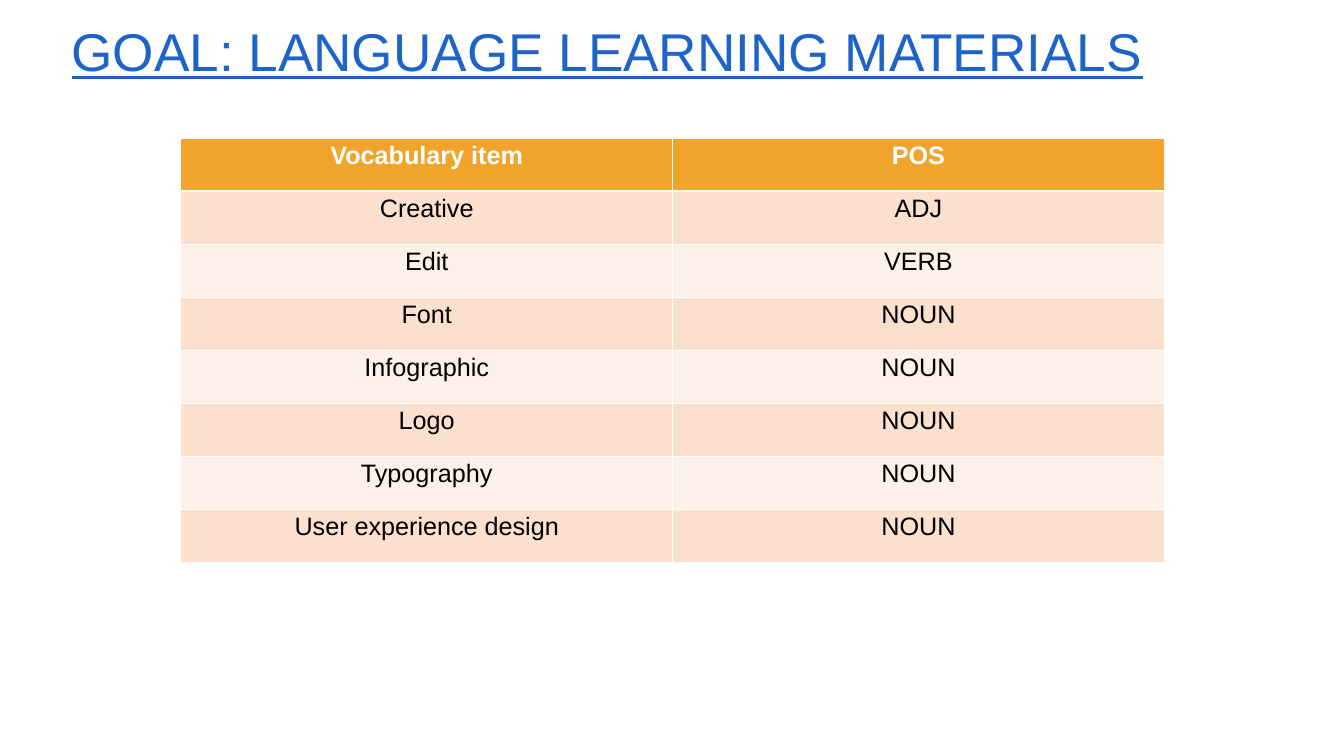
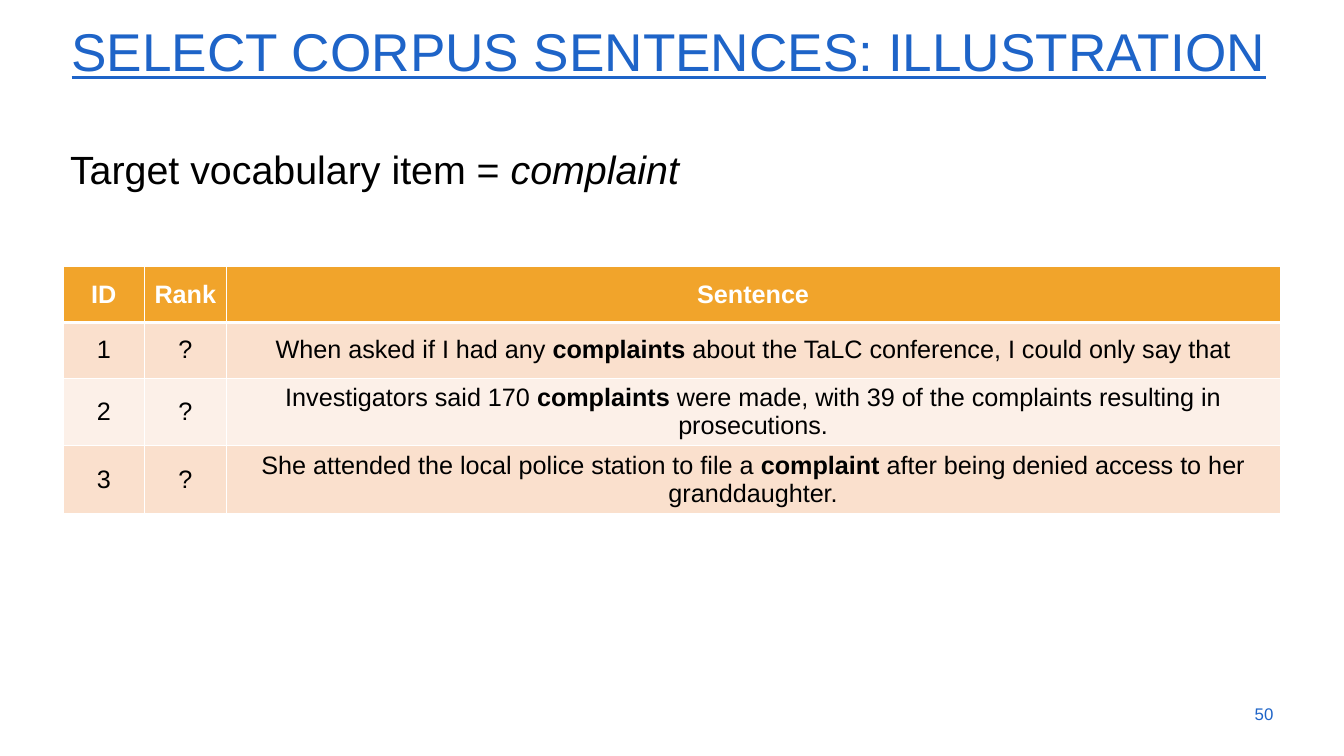
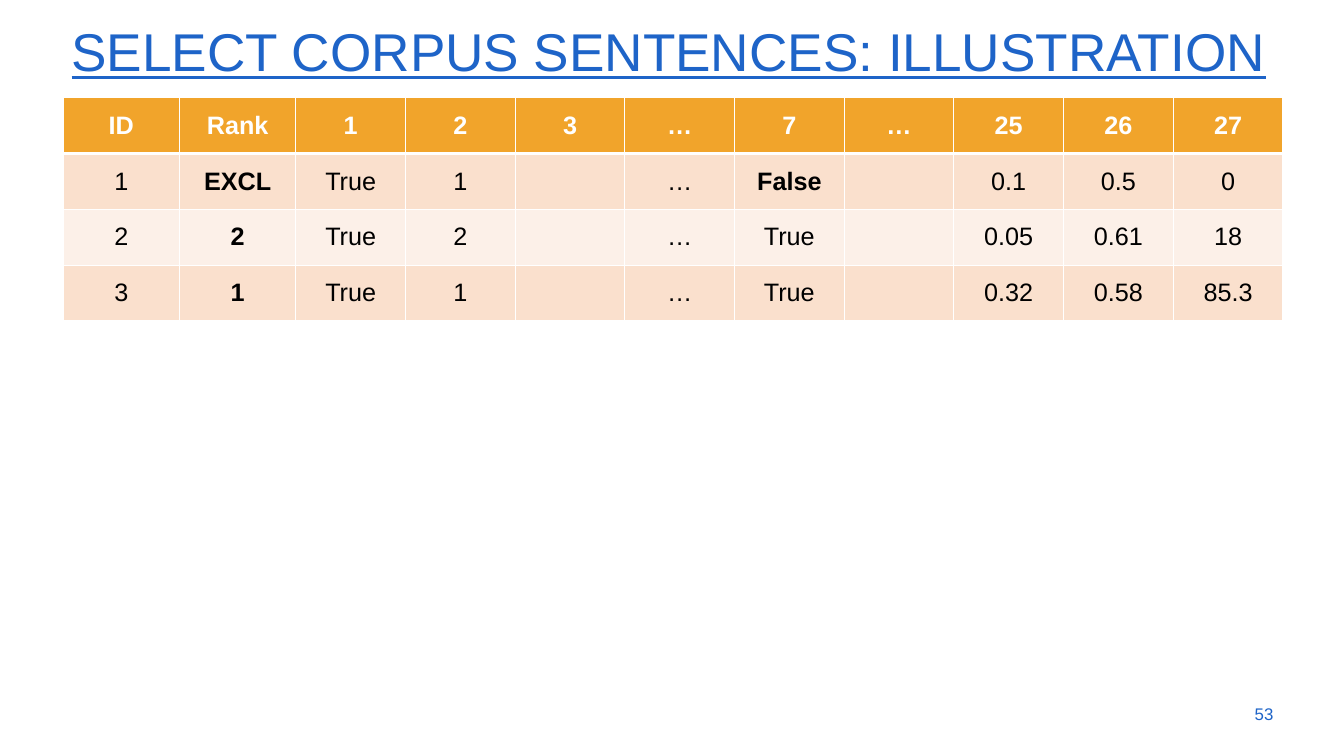
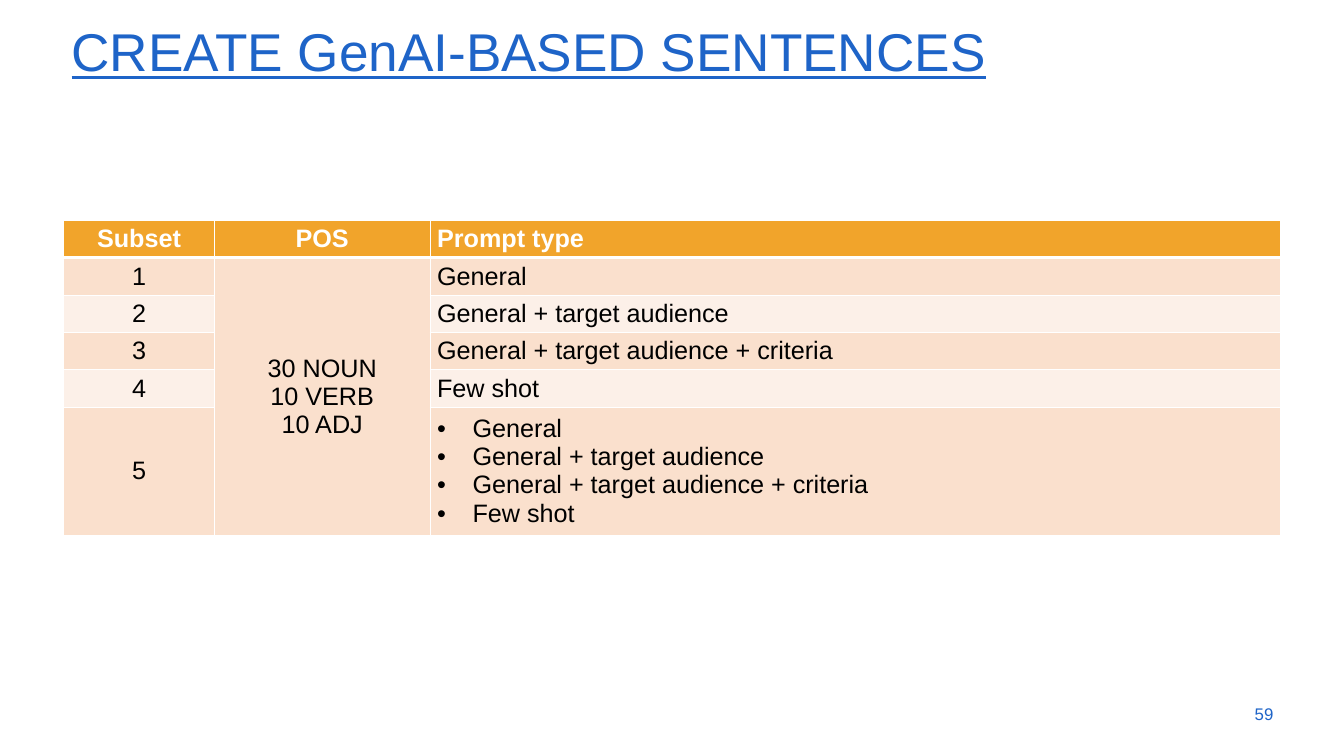
from pptx import Presentation
from pptx.dml.color import RGBColor
from pptx.enum.text import MSO_ANCHOR, PP_ALIGN
from pptx.oxml import parse_xml
from pptx.oxml.ns import nsdecls
from pptx.util import Cm, Pt

BLUE = RGBColor(0x1E, 0x64, 0xC8)
ORANGE = RGBColor(0xF1, 0xA4, 0x2B)
PEACH = RGBColor(0xFA, 0xE0, 0xCD)
CREAM = RGBColor(0xFC, 0xF0, 0xE8)
WHITE = RGBColor(0xFF, 0xFF, 0xFF)
BLACK = RGBColor(0x00, 0x00, 0x00)
FONT = "Arial"
BULLET = "• "
BULLET_INDENT = Cm(1.27)


class Deck:
    """Build slides in the shared style, one element at a time."""

    def __init__(self):
        self.presentation = Presentation()
        self.presentation.slide_width = Cm(48.16)
        self.presentation.slide_height = Cm(27.1)
        self.slide = None

    def add_slide(self, title, number=None):
        """Start a slide with its underlined title and optional page number."""
        layout = self.presentation.slide_layouts[5]
        self.slide = self.presentation.slides.add_slide(layout)
        shape = self.slide.shapes.title
        shape.left, shape.top = Cm(2.31), Cm(0.71)
        shape.width, shape.height = Cm(43.64), Cm(2.39)
        frame = shape.text_frame
        frame.vertical_anchor = MSO_ANCHOR.BOTTOM
        paragraph = frame.paragraphs[0]
        self.set_text(paragraph, title, 54, BLUE)
        paragraph.font.underline = True
        paragraph.line_spacing = 0.9
        if number:
            frame = self.add_text(number, 43.31, 24.87, 2.57, 1.45, 17.1, BLUE)
            frame.vertical_anchor = MSO_ANCHOR.MIDDLE
            frame.paragraphs[0].alignment = PP_ALIGN.RIGHT

    def set_text(self, paragraph, text, size, color, italic=False):
        """Set text in one style, with parts between asterisks emphasised."""
        paragraph.alignment = PP_ALIGN.LEFT
        font = paragraph.font
        font.name, font.size = FONT, Pt(size)
        font.color.rgb = color
        for index, part in enumerate(text.split("*")):
            if part:
                run = paragraph.add_run()
                run.text = part
                if index % 2 and italic:
                    run.font.italic = True
                elif index % 2:
                    run.font.bold = True

    def add_text(self, text, left, top, width, height, size, color):
        """Add a one-paragraph text box and return its text frame."""
        shape = self.slide.shapes.add_textbox(
            Cm(left), Cm(top), Cm(width), Cm(height))
        frame = shape.text_frame
        frame.word_wrap = True
        self.set_text(frame.paragraphs[0], text, size, color, italic=True)
        return frame

    def add_table(self, rows, left, top, widths, heights,
                  anchor=MSO_ANCHOR.MIDDLE, left_columns=()):
        """Add a table with an orange header and banded rows."""
        shape = self.slide.shapes.add_table(
            len(rows), len(widths), Cm(left), Cm(top),
            Cm(sum(widths)), Cm(sum(heights)))
        table = shape.table
        table.horz_banding = False
        for column, width in zip(table.columns, widths):
            column.width = Cm(width)
        for row, height in zip(table.rows, heights):
            row.height = Cm(height)
        for row_index, row in enumerate(rows):
            for column_index, text in enumerate(row):
                alignment = (PP_ALIGN.LEFT if column_index in left_columns
                             else PP_ALIGN.CENTER)
                cell = table.cell(row_index, column_index)
                cell.vertical_anchor = anchor
                self.fill_cell(cell, text, row_index, alignment)
        return table

    def fill_cell(self, cell, text, row_index, alignment):
        """Set the text and colours of one cell according to its row."""
        header = row_index == 0
        frame = cell.text_frame
        for index, line in enumerate(text.split("\n")):
            paragraph = frame.add_paragraph() if index else frame.paragraphs[0]
            self.set_text(paragraph, line.removeprefix(BULLET), 25.6,
                          WHITE if header else BLACK)
            paragraph.font.bold = header
            paragraph.alignment = alignment
            if line.startswith(BULLET):
                self.add_bullet(paragraph)
        self.add_borders(cell, row_index)
        cell.fill.solid()
        cell.fill.fore_color.rgb = (
            ORANGE if header else PEACH if row_index % 2 else CREAM)

    def add_bullet(self, paragraph):
        """Give a paragraph a hanging bullet."""
        properties = paragraph._p.get_or_add_pPr()
        properties.set("marL", str(BULLET_INDENT))
        properties.set("indent", str(-BULLET_INDENT))
        bullet = parse_xml(f'<a:buChar {nsdecls("a")} char="{BULLET.strip()}"/>')
        font = parse_xml(f'<a:buFont {nsdecls("a")} typeface="{FONT}"/>')
        properties.insert(0, font)
        properties.insert(1, bullet)

    def add_borders(self, cell, row_index):
        """Draw white borders, thicker below the header."""
        points = {"L": 1, "R": 1, "T": 3 if row_index == 1 else 1,
                  "B": 3 if row_index == 0 else 1}
        properties = cell._tc.get_or_add_tcPr()
        for side, width in points.items():
            properties.append(parse_xml(
                f'<a:ln{side} {nsdecls("a")} w="{Pt(width)}"><a:solidFill>'
                f'<a:srgbClr val="{WHITE}"/></a:solidFill></a:ln{side}>'))


def build_vocabulary(deck):
    """List the vocabulary items with their part of speech."""
    deck.add_slide("GOAL: LANGUAGE LEARNING MATERIALS")
    nouns = ["Font", "Infographic", "Logo", "Typography",
             "User experience design"]
    rows = [("Vocabulary item", "POS"), ("Creative", "ADJ"), ("Edit", "VERB"),
            *[(noun, "NOUN") for noun in nouns]]
    deck.add_table(rows, 6.48, 4.95, [17.62] * 2, [1.9] * len(rows),
                   anchor=MSO_ANCHOR.TOP)


def build_sentences(deck):
    """Show the unranked sentences for the target item."""
    deck.add_slide("SELECT CORPUS SENTENCES: ILLUSTRATION", "50")
    rows = [
        ("ID", "Rank", "Sentence"),
        ("1", "?", "When asked if I had any *complaints *about the TaLC "
                   "conference, I could only say that"),
        ("2", "?", "Investigators said 170 *complaints* were made, with 39 of "
                   "the complaints resulting in prosecutions."),
        ("3", "?", "She attended the local police station to file a "
                   "*complaint* after being denied access to her "
                   "granddaughter."),
    ]
    deck.add_table(rows, 2.26, 9.55, [2.92, 2.92, 37.77], [2] * len(rows))
    frame = deck.add_text("Target vocabulary item = *complaint*",
                          2.26, 4.62, 26.37, 2.11, 40, BLACK)
    frame.margin_top = Cm(0.25)
    frame.paragraphs[0].line_spacing = 1.2


def build_ranking(deck):
    """Show the criteria scores and the resulting ranks."""
    deck.add_slide("SELECT CORPUS SENTENCES: ILLUSTRATION", "53")
    rows = [
        ("ID", "Rank", "1", "2", "3", "…", "7", "…", "25", "26", "27"),
        ("1", "*EXCL*", "True", "1", "", "…", "*False*", "", "0.1", "0.5", "0"),
        ("2", "*2*", "True", "2", "", "…", "True", "", "0.05", "0.61", "18"),
        ("3", "*1*", "True", "1", "", "…", "True", "", "0.32", "0.58", "85.3"),
    ]
    deck.add_table(rows, 2.26, 3.5, [4.17] * 2 + [3.93] * 9, [2] * len(rows))


def build_prompts(deck):
    """Show the prompt type of each generated subset."""
    deck.add_slide("CREATE GenAI-BASED SENTENCES", "59")
    prompts = ["General", "General + target audience",
               "General + target audience + criteria", "Few shot"]
    combined = "\n".join(BULLET + prompt for prompt in prompts)
    rows = [("Subset", "POS", "Prompt type")]
    for number, prompt in enumerate([*prompts, combined], 1):
        counts = "30 NOUN\n10 VERB\n10 ADJ" if number == 1 else ""
        rows.append((str(number), counts, prompt))
    table = deck.add_table(rows, 2.28, 7.9, [5.4, 7.73, 30.48],
                           [1.26] * 5 + [4.25], left_columns=[2])
    table.cell(1, 1).merge(table.cell(5, 1))


def main():
    """Build the four slides and save them."""
    deck = Deck()
    for build in (build_vocabulary, build_sentences, build_ranking,
                  build_prompts):
        build(deck)
    deck.presentation.save("out.pptx")


if __name__ == "__main__":
    main()
